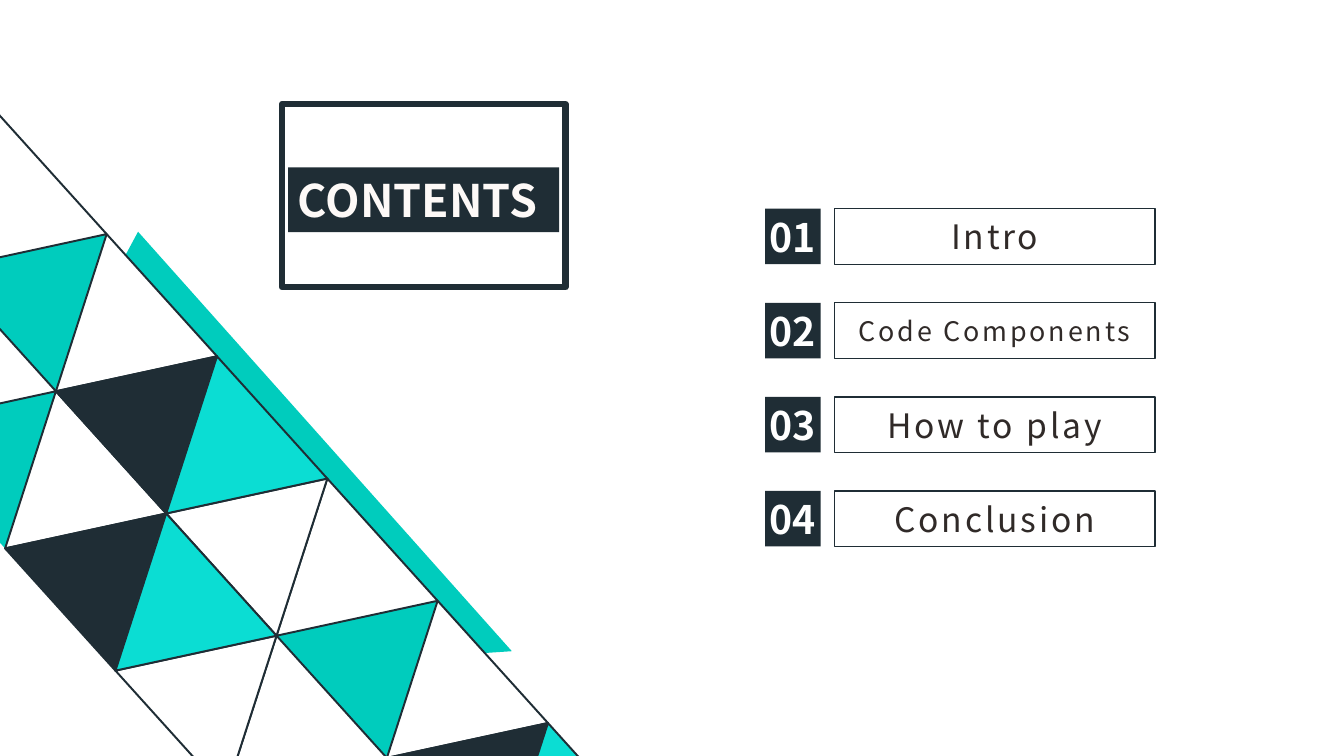
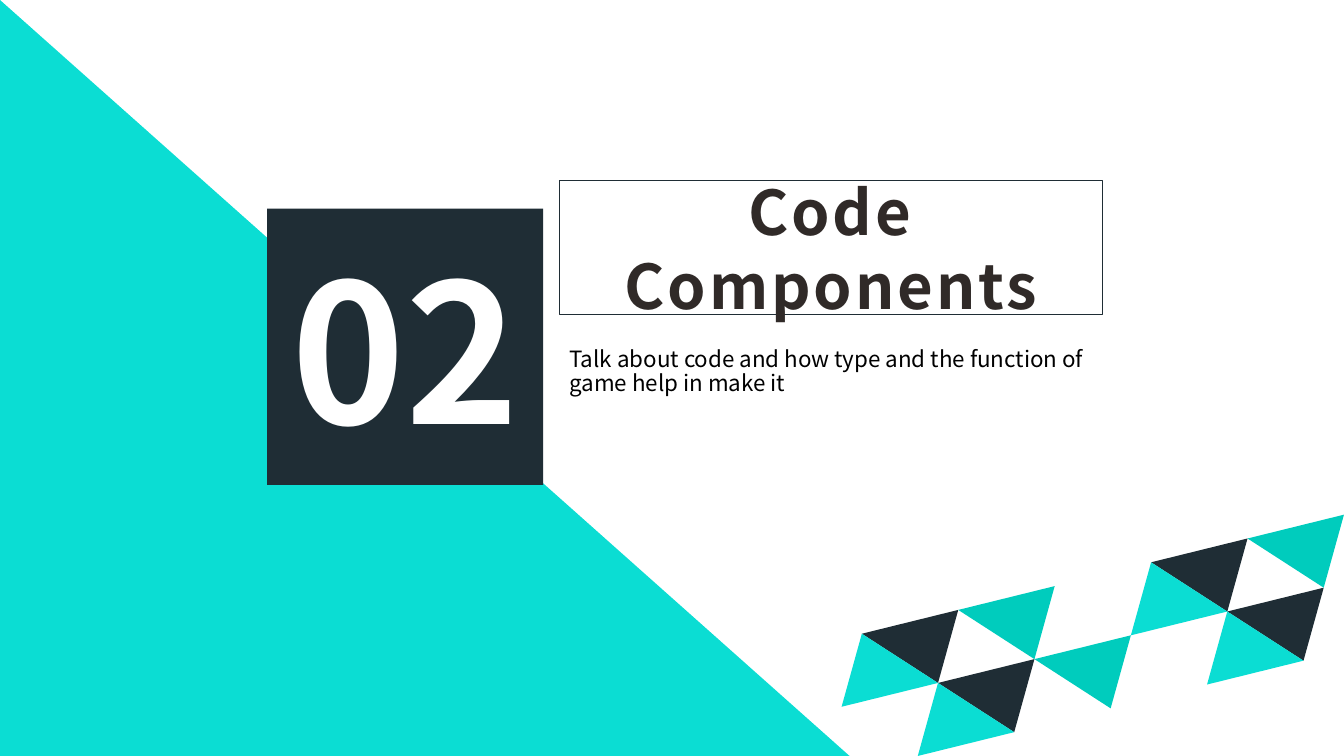
from pptx import Presentation
from pptx.dml.color import RGBColor
from pptx.enum.shapes import MSO_SHAPE as Preset
from pptx.enum.text import MSO_ANCHOR as Anchor, PP_ALIGN as Align
from pptx.util import Cm, Pt

FONT = "Noto Sans CJK SC"
DARK, TEAL, CYAN = "1F2D35", "00CCBD", "0BDDD3"
WHITE, CREAM, INK, BLACK = "FFFFFF", "FDF9F7", "302A28", "000000"


def color(hex_text):
    return RGBColor.from_string(hex_text)


class Deck:
    """Holds the shared style and the current slide."""

    def __init__(self, width, height):
        self.deck = Presentation()
        self.deck.slide_width, self.deck.slide_height = Cm(width), Cm(height)
        self.page = None

    def new_page(self):
        self.page = self.deck.slides.add_slide(self.deck.slide_layouts[6])

    def paint(self, shape, fill, line, weight):
        shape.shadow.inherit = False
        if fill:
            shape.fill.solid()
            shape.fill.fore_color.rgb = color(fill)
        else:
            shape.fill.background()
        if line:
            shape.line.color.rgb = color(line)
            shape.line.width = Pt(weight)
        else:
            shape.line.fill.background()

    def box(self, x, y, width, height, fill=None, line=None, weight=1.0,
            preset=Preset.RECTANGLE):
        box = self.page.shapes.add_shape(preset, Cm(x), Cm(y), Cm(width), Cm(height))
        self.paint(box, fill, line, weight)
        return box

    def polygon(self, points, fill, line=None, weight=1.38):
        corners = [(Cm(x), Cm(y)) for x, y in points]
        builder = self.page.shapes.build_freeform(*corners[0], scale=1.0)
        builder.add_line_segments(corners[1:], close=True)
        self.paint(builder.convert_to_shape(), fill, line, weight)

    def put_text(self, shape, text, size, ink, bold=False, align=Align.CENTER,
                 anchor=Anchor.MIDDLE, spacing=0, inset=None):
        frame = shape.text_frame
        frame.word_wrap = True
        frame.vertical_anchor = anchor
        if inset is not None:
            frame.margin_left = frame.margin_right = Cm(inset)
            frame.margin_top = frame.margin_bottom = Cm(inset)
        para = frame.paragraphs[0]
        para.alignment = align
        span = para.add_run()
        span.text = text
        span.font.name, span.font.size, span.font.bold = FONT, Pt(size), bold
        span.font.color.rgb = color(ink)
        if spacing:
            span._r.get_or_add_rPr().set("spc", str(spacing * 100))
        return para

    def number(self, x, y, side, text, size):
        self.put_text(self.box(x, y, side, side, fill=DARK), text, size, WHITE,
                      bold=True, inset=0)

    def label(self, x, y, width, height, text, size, bold=False):
        self.put_text(self.box(x, y, width, height, line=DARK), text, size, INK,
                      bold=bold, spacing=2)

    def text(self, x, y, width, height, text, size):
        box = self.page.shapes.add_textbox(Cm(x), Cm(y), Cm(width), Cm(height))
        para = self.put_text(box, text, size, BLACK, align=Align.LEFT, anchor=Anchor.TOP)
        para.line_spacing = 0.9
        para.space_before = Pt(10)

    def mosaic(self, origin, down, across, tiles, outline=None):
        """Draw triangles on a slanted grid; each cell has a first and a second half."""
        def node(row, column):
            return tuple(start + row * d + column * a
                         for start, d, a in zip(origin, down, across))

        for half, row, column, fill in tiles:
            first = node(row, column) if half == 1 else node(row + 1, column + 1)
            corners = [first, node(row, column + 1), node(row + 1, column)]
            line = None if fill == TEAL else outline
            self.polygon(corners, fill, line)


def contents_page(deck):
    deck.new_page()
    # Slanted band of triangles
    deck.polygon([(3.48, 5.84), (12.9, 16.41), (4.29, 16.99), (-0.25, 12.78)], TEAL)
    tiles = [(1, -1, 0, TEAL), (1, 2, 0, TEAL), (1, 0, -1, TEAL)]
    tiles += [(2, row, 0, WHITE) for row in (-2, -1, 1, 2)]
    tiles += [(2, row, -1, WHITE) for row in (-1, 0, 2)]
    tiles += [(1, 1, 0, WHITE), (1, 2, -1, WHITE)]
    for row, column in ((0, 0), (3, 0), (1, -1)):
        tiles += [(1, row, column, DARK), (2, row, column, CYAN)]
    deck.mosaic((1.41, 9.86), (2.78, 3.08), (4.06, -0.88), tiles, outline=DARK)

    # Framed heading
    deck.box(7.11, 2.62, 7.14, 4.62, line=DARK, weight=4.5)
    heading = deck.box(7.26, 4.22, 6.83, 1.63, fill=DARK)
    deck.put_text(heading, "CONTENTS", 32, CREAM, bold=True, align=Align.LEFT)

    # Numbered entries
    entries = [("Intro", 24), ("Code Components", 19.2),
               ("How to play", 24), ("Conclusion", 24)]
    for index, (name, size) in enumerate(entries):
        y = 5.26 + index * 2.37
        deck.number(19.28, y, 1.4, f"{index + 1:02}", 28)
        deck.label(21.03, y, 8.08, 1.4, name, size)


def section_page(deck):
    deck.new_page()
    # Corner triangle and scattered tiles
    deck.box(0, 0, 21.41, 19.05, fill=CYAN, preset=Preset.RIGHT_TRIANGLE)
    tiles = [(1, row, column, DARK) for column in (0, 3) for row in (0, 1)]
    tiles += [(2, row, column, CYAN)
              for row, column in ((0, -1), (1, -1), (0, 2), (1, 2))]
    tiles += [(1, row, column, TEAL) for row, column in ((0, 1), (1, 1), (0, 4))]
    deck.mosaic((21.72, 15.97), (1.92, 1.24), (2.43, -0.6), tiles)

    # Section number, title and summary
    deck.number(6.73, 5.26, 6.96, "02", 138)
    deck.label(14.1, 4.55, 13.69, 3.38, "Code Components", 44, bold=True)
    deck.text(14.1, 8.64, 13.69, 1.47,
              "Talk about code and how type and the function of game help in make it", 16)


def main():
    deck = Deck(33.87, 19.05)
    contents_page(deck)
    section_page(deck)
    deck.deck.save("out.pptx")


if __name__ == "__main__":
    main()
